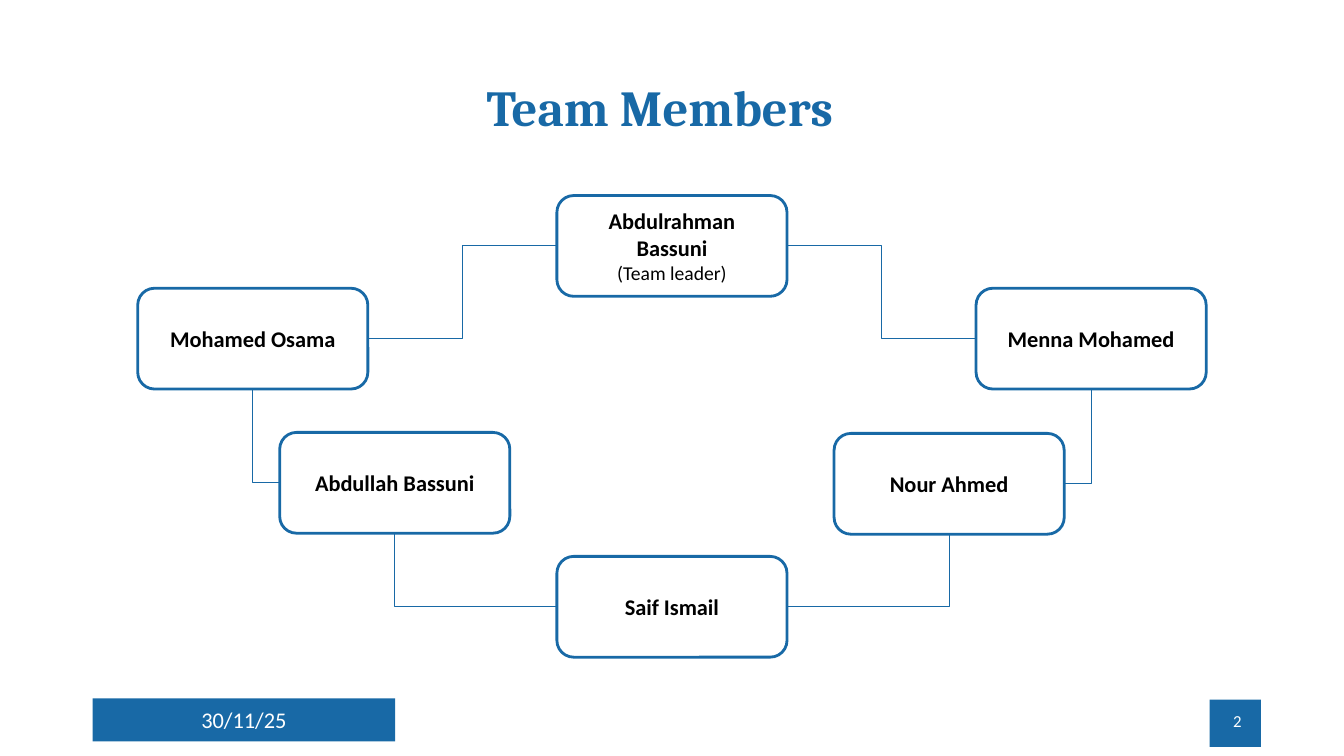
import pptx
import pptx.dml.color
import pptx.enum.shapes
import pptx.enum.text
import pptx.oxml
import pptx.oxml.ns
import pptx.util
from dataclasses import dataclass

ALIGN = pptx.enum.text.PP_ALIGN
ANCHOR = pptx.enum.text.MSO_ANCHOR
SHAPE = pptx.enum.shapes.MSO_SHAPE
TOP, LEFT, BOTTOM, RIGHT = range(4)  # connection sites of a card


@dataclass(frozen=True)
class Theme:
    blue: str = "1869A6"
    white: str = "FFFFFF"
    black: str = "000000"
    heading_font: str = "Cambria"
    body_font: str = "Calibri"
    title_size: int = 36
    name_size: int = 16
    role_size: int = 14
    number_size: int = 12
    card_line: float = 2
    link_line: float = 0.75


def rgb(code):
    return pptx.dml.color.RGBColor.from_string(code)


class TeamSlide:
    """Draws on a grid of 160 columns by 90 rows."""

    COLUMNS, ROWS = 160, 90
    CARD_WIDTH, CARD_HEIGHT = 27.4, 12

    def __init__(self, deck, theme):
        self.theme = theme
        self.column = deck.slide_width / self.COLUMNS
        self.row = deck.slide_height / self.ROWS
        self.slide = deck.slides.add_slide(deck.slide_layouts[5])

    def place(self, column, row, columns, rows):
        return [round(n) for n in (column * self.column, row * self.row,
                                   columns * self.column, rows * self.row)]

    def style(self, paragraph, size, color, bold=False, font=None, align=ALIGN.CENTER):
        paragraph.alignment = align
        paragraph.font.name = font or self.theme.body_font
        paragraph.font.size = pptx.util.Pt(size)
        paragraph.font.bold = bold
        paragraph.font.color.rgb = rgb(color)

    def title(self, text, column, row, columns, rows):
        heading = self.slide.shapes.title
        heading.left, heading.top, heading.width, heading.height = self.place(
            column, row, columns, rows)
        frame = heading.text_frame
        frame.text = text
        frame.auto_size = pptx.enum.text.MSO_AUTO_SIZE.NONE
        frame.vertical_anchor = ANCHOR.TOP
        frame.margin_right = pptx.util.Inches(0.34)
        self.style(frame.paragraphs[0], self.theme.title_size, self.theme.blue,
                   bold=True, font=self.theme.heading_font)

    def box(self, kind, fill, *area):
        shape = self.slide.shapes.add_shape(kind, *self.place(*area))
        shape.shadow.inherit = False
        shape.fill.solid()
        shape.fill.fore_color.rgb = rgb(fill)
        shape.line.fill.background()
        shape.text_frame.word_wrap = True
        shape.text_frame.vertical_anchor = ANCHOR.MIDDLE
        return shape

    def card(self, name, center_column, center_row, role=None):
        card = self.box(SHAPE.ROUNDED_RECTANGLE, self.theme.white,
                        center_column - self.CARD_WIDTH / 2,
                        center_row - self.CARD_HEIGHT / 2,
                        self.CARD_WIDTH, self.CARD_HEIGHT)
        card.line.color.rgb = rgb(self.theme.blue)
        card.line.width = pptx.util.Pt(self.theme.card_line)
        frame = card.text_frame
        frame.margin_left = frame.margin_right = pptx.util.Inches(0.15)
        frame.text = name
        self.style(frame.paragraphs[0], self.theme.name_size, self.theme.black, bold=True)
        if role:
            role_line = frame.add_paragraph()
            role_line.text = role
            self.style(role_line, self.theme.role_size, self.theme.black)
        return card

    def link(self, start, start_site, end, end_site):
        """Joins two cards; a link that ends below a card has a single bend."""
        link = self.slide.shapes.add_connector(
            pptx.enum.shapes.MSO_CONNECTOR.ELBOW, 0, 0, 0, 0)
        link.begin_connect(start, start_site)
        link.end_connect(end, end_site)
        link.line.color.rgb = rgb(self.theme.blue)
        link.line.width = pptx.util.Pt(self.theme.link_line)
        properties = link.element.spPr
        if end_site == BOTTOM:
            properties.find(pptx.oxml.ns.qn("a:prstGeom")).set("prst", "bentConnector2")
        properties.append(pptx.oxml.parse_xml(
            f"<a:effectLst {pptx.oxml.ns.nsdecls('a')}/>"))

    def footer(self, text, size, align, *area):
        bar = self.box(SHAPE.RECTANGLE, self.theme.blue, *area)
        bar.text_frame.text = text
        self.style(bar.text_frame.paragraphs[0], size, self.theme.white, align=align)
        return bar


def main():
    deck = pptx.Presentation()
    deck.slide_width = pptx.util.Inches(13.33)
    deck.slide_height = pptx.util.Inches(7.5)
    theme = Theme()
    team = TeamSlide(deck, theme)

    team.footer("30/11/25", theme.name_size, ALIGN.CENTER, 11.04, 83.16, 36, 5.1)
    number = team.footer("2", theme.number_size, ALIGN.RIGHT, 144, 83.28, 6.1, 5.64)
    number.text_frame.margin_right = pptx.util.Inches(0.19)
    number.text_frame.margin_bottom = pptx.util.Inches(0.1)

    team.title("Team Members", 0, 8.52, team.COLUMNS, 13.08)

    middle, inner, outer = team.COLUMNS / 2, 33, 49.9
    leader = team.card("Abdulrahman Bassuni", middle, 29.28, role="(Team leader)")
    mohamed = team.card("Mohamed Osama", middle - outer, 40.32)
    saif = team.card("Saif Ismail", middle, 72.24)
    menna = team.card("Menna Mohamed", middle + outer, 40.32)
    abdullah = team.card("Abdullah Bassuni", middle - inner, 57.48)
    nour = team.card("Nour Ahmed", middle + inner, 57.6)

    for start, start_site, end, end_site in (
            (leader, LEFT, mohamed, RIGHT),
            (leader, RIGHT, menna, LEFT),
            (saif, RIGHT, nour, BOTTOM),
            (nour, RIGHT, menna, BOTTOM),
            (abdullah, LEFT, mohamed, BOTTOM),
            (saif, LEFT, abdullah, BOTTOM)):
        team.link(start, start_site, end, end_site)

    deck.save("out.pptx")


if __name__ == "__main__":
    main()
